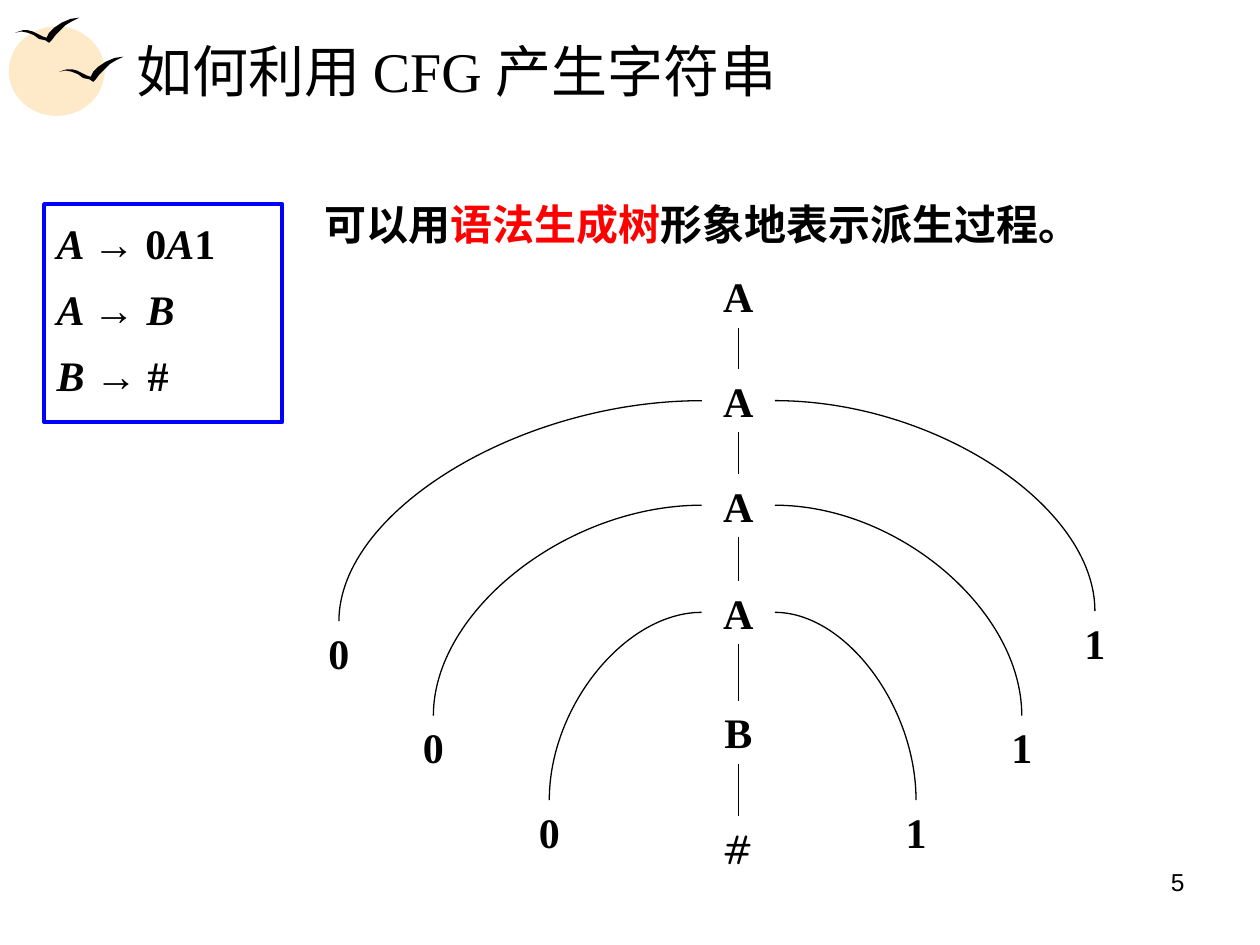
from dataclasses import dataclass

from lxml import etree
from pptx import Presentation
from pptx.dml.color import RGBColor
from pptx.enum.shapes import MSO_CONNECTOR, MSO_SHAPE
from pptx.enum.text import MSO_ANCHOR, MSO_AUTO_SIZE, PP_ALIGN
from pptx.oxml.ns import qn
from pptx.util import Inches, Pt

STRAIGHT, CURVE = MSO_CONNECTOR.STRAIGHT, MSO_CONNECTOR.CURVE
OVAL = MSO_SHAPE.OVAL
TOP, MIDDLE = MSO_ANCHOR.TOP, MSO_ANCHOR.MIDDLE
LEFT, CENTER, RIGHT = PP_ALIGN.LEFT, PP_ALIGN.CENTER, PP_ALIGN.RIGHT
NO_AUTOSIZE = MSO_AUTO_SIZE.NONE
TOP_SIDE, LEFT_SIDE, BOTTOM_SIDE, RIGHT_SIDE = range(4)

SERIF, SANS, COMIC = "Times New Roman", "Arial", "Comic Neue"
BLACK, RED, BLUE, SUN = "000000", "FF0000", "0000FF", "FEE9C8"

SLIDE_W, SLIDE_H = Inches(10), Inches(7.5)
COLUMN, ROW = SLIDE_W / 100, SLIDE_H / 75
NODE_W, NODE_H = 5.8, 5.0
SPINE_COLUMN = 55.7


@dataclass
class Span:
    text: str
    font: str = SERIF
    size: float = 24
    bold: bool = True
    italic: bool = False
    color: str = BLACK


@dataclass
class SpineNode:
    label: str
    top: float
    font: str = SERIF
    bold: bool = True


@dataclass
class Branch:
    """Terminals 0 and 1 hanging from one spine node."""
    level: int
    zero_column: float
    zero_top: float
    one_column: float
    one_top: float


RULES = [
    [Span("A ", italic=True), Span("→", SANS), Span(" 0"),
     Span("A", italic=True), Span("1")],
    [Span("A ", italic=True), Span("→ ", SANS), Span("B", italic=True)],
    [Span("B ", italic=True), Span("→", SANS), Span(" #")],
]
STATEMENT = [Span("可以用"), Span("语法生成树", color=RED),
             Span("形象地表示派生过程。")]
SPINE = [SpineNode("A", 21), SpineNode("A", 29.3), SpineNode("A", 37.6),
         SpineNode("A", 46.1), SpineNode("B", 55.6),
         SpineNode("#", 64.8, COMIC, False)]
BRANCHES = [Branch(1, 24, 49.3, 84, 48.5),
            Branch(2, 31.5, 56.8, 78.2, 56.8),
            Branch(3, 40.7, 63.5, 69.8, 63.5)]
# Outline of a bird, in tenths of a grid cell
BIRD = [(0, 12), (3, 11), (6, 10), (10, 10), (14, 11), (18, 13), (22, 15),
        (25, 16), (27, 12), (31, 8), (37, 4), (44, 1), (51, 0), (45, 3),
        (40, 6), (36, 10), (32, 14), (29, 18), (27, 20), (24, 18), (19, 17),
        (15, 14), (10, 12), (5, 11)]


def rgb(color: str) -> RGBColor:
    return RGBColor.from_string(color)


def grid(column: float, row: float, columns: float, rows: float) -> tuple:
    return (round(column * COLUMN), round(row * ROW),
            round(columns * COLUMN), round(rows * ROW))


def place(shape, *cells: float) -> None:
    shape.left, shape.top, shape.width, shape.height = grid(*cells)


def write(shape, lines: list, align=LEFT, anchor=TOP,
          line_spacing: float = 1.0, gap: float = 0) -> None:
    frame = shape.text_frame
    frame.word_wrap = True
    frame.auto_size = NO_AUTOSIZE
    frame.vertical_anchor = anchor
    for number, spans in enumerate(lines):
        paragraph = frame.add_paragraph() if number else frame.paragraphs[0]
        properties = paragraph._p.get_or_add_pPr()
        properties.set("marL", "0")
        properties.set("indent", "0")
        paragraph.alignment = align
        paragraph.line_spacing = line_spacing
        paragraph.space_before = Pt(gap if number else 0)
        etree.SubElement(properties, qn("a:buNone"))
        for span in spans:
            run = paragraph.add_run()
            run.text = span.text
            run.font.name, run.font.size = span.font, Pt(span.size)
            run.font.bold, run.font.italic = span.bold, span.italic
            run.font.color.rgb = rgb(span.color)


def add_text(slide, cells: tuple, spans: list, **layout):
    box = slide.shapes.add_textbox(*grid(*cells))
    write(box, [spans], **layout)
    return box


def add_node(slide, column: float, top: float, span: Span):
    return add_text(slide, (column, top, NODE_W, NODE_H), [span],
                    align=CENTER, anchor=MIDDLE)


def fill_plain(shape, color: str) -> None:
    shape.fill.solid()
    shape.fill.fore_color.rgb = rgb(color)
    shape.line.fill.background()
    shape.shadow.inherit = False


def add_bird(slide, column: float, row: float) -> None:
    builder = slide.shapes.build_freeform(*BIRD[0], scale=COLUMN / 10)
    builder.add_line_segments(BIRD[1:], close=True)
    left, top, _, _ = grid(column, row, 0, 0)
    fill_plain(builder.convert_to_shape(left, top), BLACK)


def link(slide, kind, parent, parent_side: int, child):
    """Join a side of the parent node to the top of the child node."""
    connector = slide.shapes.add_connector(kind, 0, 0, 0, 0)
    connector.begin_connect(parent, parent_side)
    connector.end_connect(child, TOP_SIDE)
    connector.line.color.rgb = rgb(BLACK)
    connector.line.width = Pt(0.75)
    properties = connector._element.spPr
    etree.SubElement(properties, qn("a:effectLst"))
    if kind == CURVE:
        properties.find(qn("a:prstGeom")).set("prst", "curvedConnector2")
    return connector


def add_tree(slide) -> None:
    spine = [add_node(slide, SPINE_COLUMN, node.top,
                      Span(node.label, node.font, bold=node.bold))
             for node in SPINE]
    for parent, child in zip(spine, spine[1:]):
        link(slide, STRAIGHT, parent, BOTTOM_SIDE, child)
    for branch in BRANCHES:
        parent = spine[branch.level]
        zero = add_node(slide, branch.zero_column, branch.zero_top, Span("0"))
        one = add_node(slide, branch.one_column, branch.one_top, Span("1"))
        link(slide, CURVE, parent, LEFT_SIDE, zero)
        link(slide, CURVE, parent, RIGHT_SIDE, one)


def main() -> None:
    deck = Presentation()
    deck.slide_width, deck.slide_height = SLIDE_W, SLIDE_H
    slide = deck.slides.add_slide(deck.slide_layouts[1])

    for cells in ((0.7, 2.1, 7.6, 7.1), (2, 2.8, 6.3, 5.5)):
        fill_plain(slide.shapes.add_shape(OVAL, *grid(*cells)), SUN)
    add_bird(slide, 4.7, 4.5)
    add_bird(slide, 1.2, 1.4)

    title = slide.shapes.title
    place(title, 9.8, 2.1, 85.3, 6.9)
    write(title, [[Span("如何利用 CFG 产生字符串", size=32, bold=False)]],
          anchor=MIDDLE)

    rules = slide.placeholders[1]
    place(rules, 3.5, 16.2, 18.9, 17.3)
    rules.line.color.rgb = rgb(BLUE)
    rules.line.width = Pt(2.25)
    write(rules, RULES, line_spacing=1.15, gap=4.5)

    add_text(slide, (24.8, 14.7, 72.4, 7.9), STATEMENT, line_spacing=1.15)
    add_tree(slide)
    add_text(slide, (71.7, 68.3, 23.3, 5.2),
             [Span("5", SANS, 14, bold=False)], align=RIGHT)
    deck.save("out.pptx")


if __name__ == "__main__":
    main()
